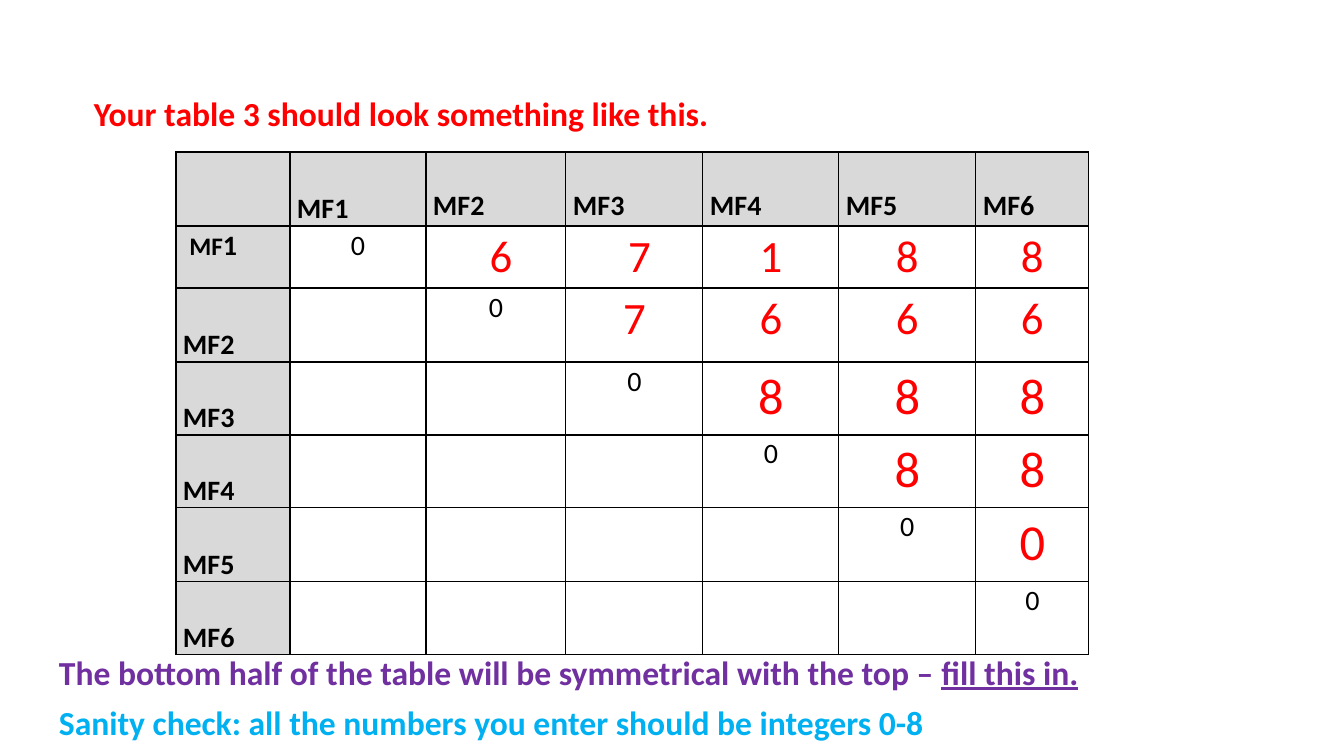
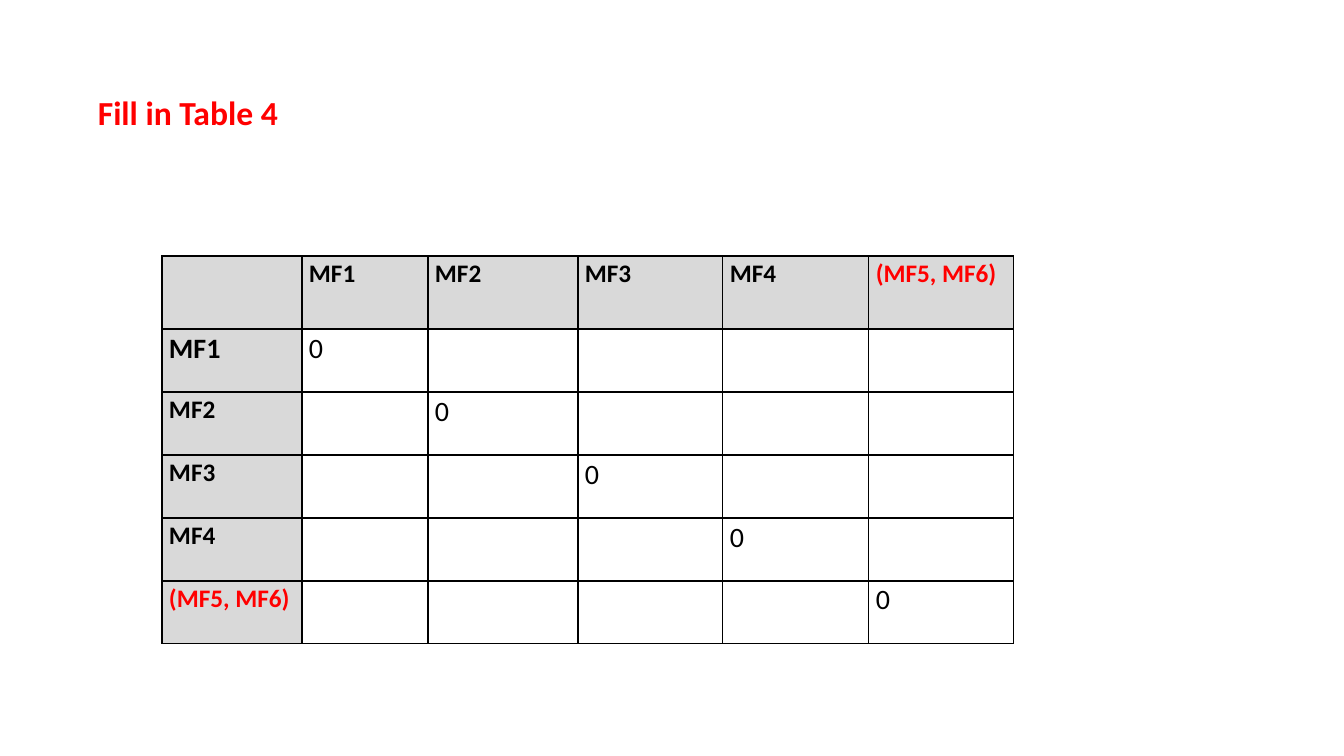
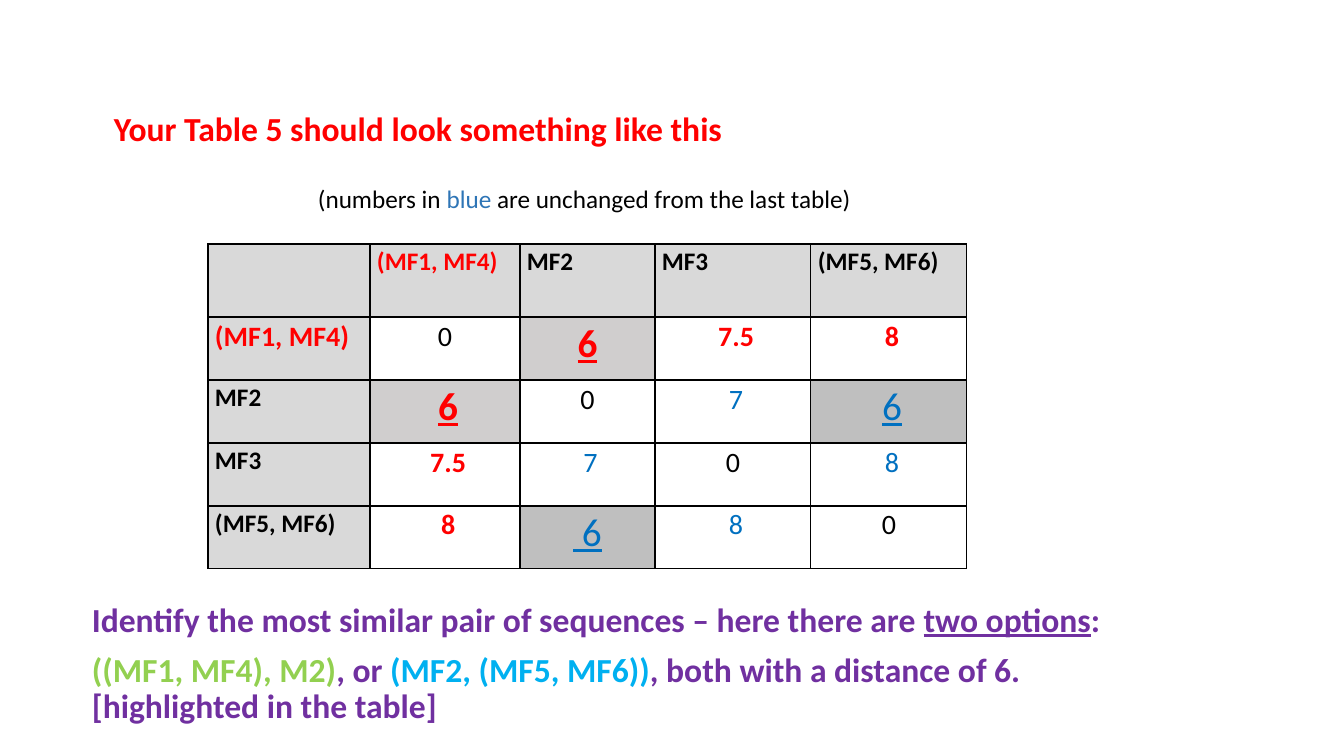
from dataclasses import dataclass, replace

from lxml import etree
from pptx import Presentation
from pptx.dml.color import RGBColor
from pptx.enum.text import MSO_ANCHOR, MSO_AUTO_SIZE, PP_ALIGN
from pptx.oxml.ns import qn
from pptx.util import Emu, Pt

LEFT, CENTER = PP_ALIGN.LEFT, PP_ALIGN.CENTER
TOP, BOTTOM = MSO_ANCHOR.TOP, MSO_ANCHOR.BOTTOM
GROW = MSO_AUTO_SIZE.SHAPE_TO_FIT_TEXT
BLANK_LAYOUT = 6
EMU_PER_PX = 914400 / 100.8


@dataclass(frozen=True)
class Theme:
    font: str = "Calibri"
    black: str = "000000"
    red: str = "FF0000"
    purple: str = "7030A0"
    sky: str = "00B0F0"
    green: str = "92D050"
    caption_blue: str = "2E75B6"
    unchanged_blue: str = "0070C0"
    header_fill: str = "D9D9D9"
    new_pair_fill: str = "D0CECE"
    old_pair_fill: str = "BFBFBF"
    title_size: int = 24
    label_size: int = 18
    value_size: int = 20
    pair_size: int = 28
    count_size: int = 32
    large_count_size: int = 36
    title_spacing: float = 0.9
    cell_spacing: float = 1.07
    border_width: int = 1


THEME = Theme()


@dataclass(frozen=True)
class Run:
    text: str
    size: int = THEME.value_size
    color: str = THEME.black
    bold: bool = False
    underline: bool = False


@dataclass(frozen=True)
class Cell:
    runs: tuple = ()
    fill: str = ""
    align: PP_ALIGN = LEFT
    anchor: MSO_ANCHOR = TOP
    bottom: int = 0


def px(length):
    return Emu(round(length * EMU_PER_PX))


def write_text(frame, paragraphs, align=LEFT, spacing=1.0, before=0):
    for index, runs in enumerate(paragraphs):
        paragraph = frame.add_paragraph() if index else frame.paragraphs[0]
        paragraph.alignment = align
        paragraph.line_spacing = spacing
        paragraph.space_before = Pt(before if index else 0)
        for item in runs:
            run = paragraph.add_run()
            run.text = item.text
            run.font.name = THEME.font
            run.font.size = Pt(item.size)
            run.font.bold = item.bold
            run.font.underline = item.underline
            run.font.color.rgb = RGBColor.from_string(item.color)


def add_text_box(slide, left, top, width, height, paragraphs, wrap=True, **text_format):
    box = slide.shapes.add_textbox(px(left), px(top), px(width), px(height))
    frame = box.text_frame
    frame.word_wrap = wrap
    frame.auto_size = GROW
    write_text(frame, paragraphs, **text_format)


def bold_run(text, color, underline=False):
    return Run(text, THEME.title_size, color, True, underline)


def add_title(slide, left, top, width, text):
    add_text_box(slide, left, top, width, 46, [[bold_run(text, THEME.red)]],
                 spacing=THEME.title_spacing)


def add_notes_box(slide, left, top, width, height, paragraphs):
    add_text_box(slide, left, top, width, height, paragraphs,
                 spacing=THEME.title_spacing, before=10)


def set_borders(cell):
    properties = cell._tc.get_or_add_tcPr()
    for side in ("a:lnL", "a:lnR", "a:lnT", "a:lnB"):
        line = etree.SubElement(properties, qn(side), w=str(Pt(THEME.border_width)))
        fill = etree.SubElement(line, qn("a:solidFill"))
        etree.SubElement(fill, qn("a:srgbClr"), val=THEME.black)


def format_cell(cell, content):
    cell.margin_left = cell.margin_right = px(7)
    cell.margin_top = 0
    cell.margin_bottom = px(content.bottom)
    cell.vertical_anchor = content.anchor
    set_borders(cell)
    if content.fill:
        cell.fill.solid()
        cell.fill.fore_color.rgb = RGBColor.from_string(content.fill)
    else:
        cell.fill.background()
    write_text(cell.text_frame, [content.runs], content.align, THEME.cell_spacing)


def add_grid(slide, left, top, widths, heights, grid):
    frame = slide.shapes.add_table(len(heights), len(widths), px(left), px(top),
                                   px(sum(widths)), px(sum(heights)))
    table = frame.table
    table.first_row = table.horz_banding = False
    for column, width in zip(table.columns, widths):
        column.width = px(width)
    for row, height, contents in zip(table.rows, heights, grid):
        row.height = px(height)
        for cell, content in zip(row.cells, contents):
            format_cell(cell, content)


def label(text, size=THEME.label_size, color=THEME.black, **cell_format):
    return Cell((Run(text, size, color, True),), THEME.header_fill, **cell_format)


def value(text, size=THEME.value_size, color=THEME.black, bold=False, align=CENTER):
    return Cell((Run(text, size, color, bold),), align=align)


def pair(text, color, fill, bold, lead=""):
    underlined = Run(text, THEME.pair_size, color, bold, True)
    runs = (Run(lead), underlined) if lead else (underlined,)
    return Cell(runs, fill, CENTER)


def build_table_3(slide):
    names = [f"MF{number}" for number in range(1, 7)]
    counts = [[" 6", " 7", "1", "8", "8"], ["7", "6", "6", "6"], ["8", "8", "8"],
              ["8", "8"], ["0"], []]
    size = THEME.value_size
    header = [label(name, size, anchor=BOTTOM, bottom=3 if index else 0)
              for index, name in enumerate(names)]
    grid = [[Cell(fill=THEME.header_fill)] + header]
    for index, name in enumerate(names):
        count_size = THEME.count_size if index < 2 else THEME.large_count_size
        grid.append([label(name, size, anchor=BOTTOM)] + [Cell()] * index + [value("0")]
                    + [value(count, count_size, THEME.red) for count in counts[index]])
    first_runs = (Run(" ", bold=True), Run("MF", THEME.label_size, bold=True),
                  Run("1", bold=True))
    grid[1][0] = replace(grid[1][0], runs=first_runs, anchor=TOP)
    add_grid(slide, 176, 152, [114, 136, 140, 137, 136, 137, 113],
             [74, 62, 74, 73, 73, 74, 73], grid)
    add_title(slide, 84, 92, 1260, "Your table 3 should look something like this.")
    add_notes_box(slide, 49, 651, 1068, 98, [
        [bold_run("The bottom half of the table will be symmetrical with the top – ",
                  THEME.purple),
         bold_run("fill this in.", THEME.purple, True)],
        [bold_run("Sanity check: all the numbers you enter should be integers 0-8",
                  THEME.sky)],
    ])


def build_table_4(slide):
    merged = "(MF5, MF6)"
    names = ["MF1", "MF2", "MF3", "MF4", merged]
    labels = [label(name, color=THEME.red if name == merged else THEME.black)
              for name in names]
    grid = [[Cell(fill=THEME.header_fill)] + labels]
    for index, row_label in enumerate(labels):
        grid.append([row_label] + [value("0", align=LEFT) if column == index else Cell()
                                   for column in range(len(names))])
    grid[1][0] = label(names[0], THEME.value_size)
    add_grid(slide, 162, 256, [140, 126, 150, 145, 146, 145], [73] + [63] * 5, grid)
    add_title(slide, 88, 91, 818, "Fill in Table 4")


def build_table_5(slide):
    red, blue = THEME.red, THEME.unchanged_blue
    merged = label("(MF1, MF4)", color=red)
    others = [label(name) for name in ("MF2", "MF3", "(MF5, MF6)")]
    zero = value("0")
    far, farther = (value(text, color=red, bold=True) for text in (" 7.5", " 8"))
    seven, eight = (value(text, color=blue) for text in (" 7", " 8"))
    new_pair, old_pair = THEME.new_pair_fill, THEME.old_pair_fill
    grid = [
        [Cell(fill=THEME.header_fill), merged] + others,
        [label("(MF1, MF4)", THEME.value_size, red), zero,
         pair("6", red, new_pair, True), far, farther],
        [others[0], pair("6", red, new_pair, True, " "), zero, seven,
         pair("6", blue, old_pair, False, " ")],
        [others[1], far, seven, zero, eight],
        [others[2], farther, pair(" 6", blue, old_pair, False), eight, zero],
    ]
    add_grid(slide, 208, 244, [162, 150, 135, 156, 156], [73] + [63] * 4, grid)
    add_title(slide, 104, 108, 818, "Your Table 5 should look something like this")
    size = THEME.label_size
    add_text_box(slide, 308, 178, 560, 40, [[
        Run("(numbers in ", size),
        Run("blue", size, THEME.caption_blue),
        Run(" are unchanged from the last table)", size),
    ]], wrap=False)
    purple = THEME.purple
    add_notes_box(slide, 82, 598, 1118, 134, [
        [bold_run("Identify the most similar pair of sequences – here there are ", purple),
         bold_run("two options", purple, True),
         bold_run(":", purple)],
        [bold_run("((MF1, MF4), M2)", THEME.green),
         bold_run(", or ", purple),
         bold_run("(MF2, (MF5, MF6))", THEME.sky),
         bold_run(", both with a distance of 6. [highlighted in the table]", purple)],
    ])


def main():
    presentation = Presentation()
    presentation.slide_width = px(1344)
    presentation.slide_height = px(756)
    for build in (build_table_3, build_table_4, build_table_5):
        build(presentation.slides.add_slide(presentation.slide_layouts[BLANK_LAYOUT]))
    presentation.save("out.pptx")


if __name__ == "__main__":
    main()
